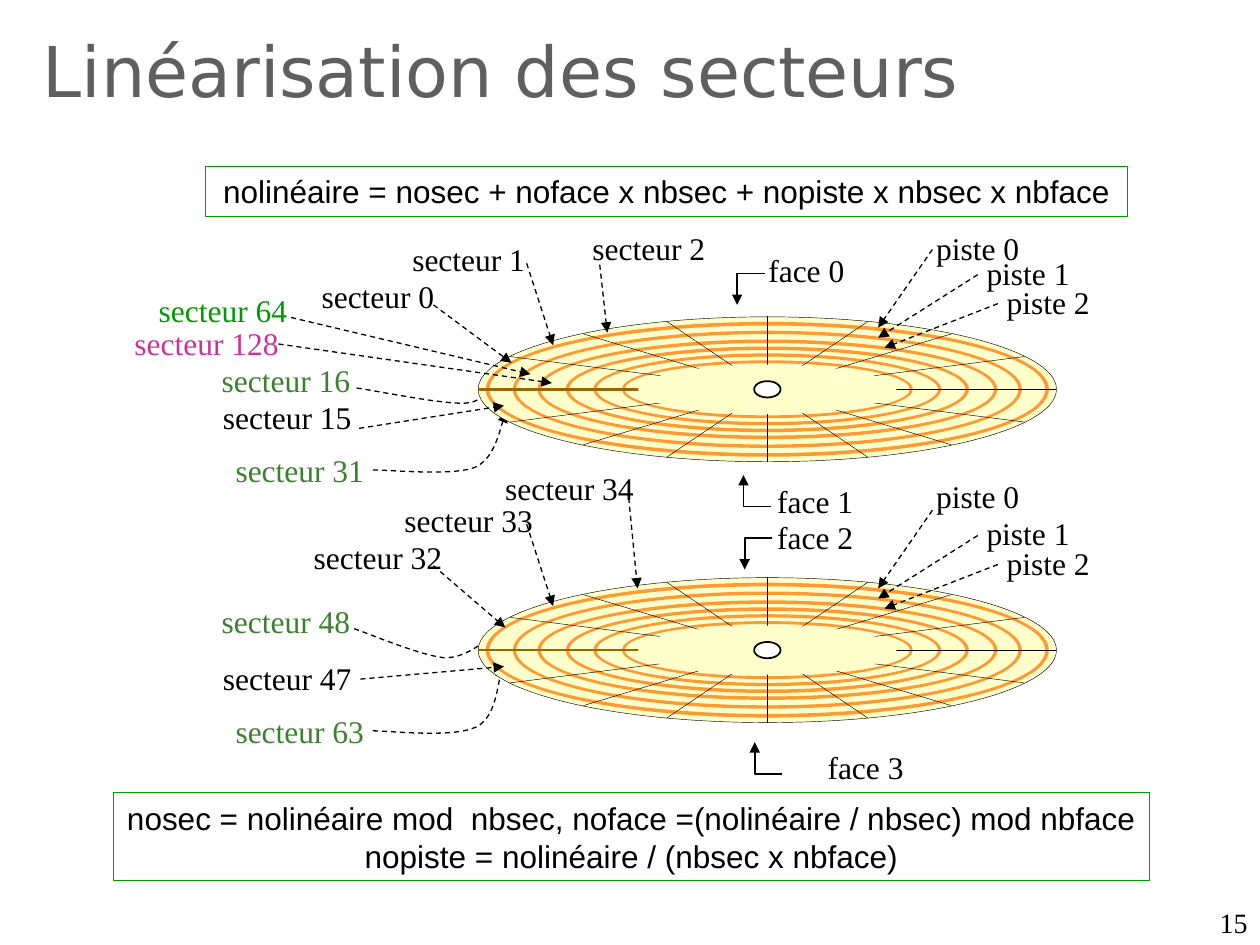
"""Build the slide on the linear numbering of disk sectors."""
from dataclasses import dataclass
from typing import Any

from lxml import etree
from pptx import Presentation
from pptx import util as u
from pptx.dml.color import RGBColor
from pptx.enum import dml, shapes, text
from pptx.oxml import ns

BLACK, LEAF, GREEN, PINK = "000000", "3B812F", "009900", "CC3399"
CREAM, ORANGE, BROWN, WHITE = "FFFFCC", "FF9933", "996600", "FFFFFF"
CENTRE_X, DISK_STEP = 6.09, 2.07


def length(inches):
    return u.Cm(inches * 2.54)


def colour(value):
    return RGBColor.from_string(value)


def bezier(start, *curves, steps=12):
    points = [start]
    for curve in curves:
        ends = (points[-1], *curve)
        for step in range(1, steps + 1):
            t = step / steps
            weights = ((1 - t) ** 3, 3 * t * (1 - t) ** 2, 3 * t * t * (1 - t), t ** 3)
            points.append(tuple(sum(w * p[axis] for w, p in zip(weights, ends))
                                for axis in (0, 1)))
    return points


@dataclass
class Sheet:
    slide: Any
    label_font: str = "Times New Roman"
    formula_font: str = "Arial"
    size: int = 18

    def title(self, words):
        title = self.slide.shapes.title
        title.left, title.top, title.width, title.height = map(length, (0.24, 0.18, 7.79, 0.75))
        title.text_frame.auto_size = text.MSO_AUTO_SIZE.NONE
        self.set_text(title, words, "DejaVu Sans", 40, "5F5F5F", text.PP_ALIGN.LEFT)

    def set_text(self, holder, words, font, size, ink, align=text.PP_ALIGN.CENTER):
        holder.text_frame.word_wrap = True
        paragraph = holder.text_frame.paragraphs[0]
        paragraph.text, paragraph.alignment = words, align
        paragraph.font.name, paragraph.font.size = font, u.Pt(size)
        paragraph.font.color.rgb = colour(ink)

    def label(self, words, left, top, ink=BLACK, width=1.26):
        box = self.slide.shapes.add_textbox(*map(length, (left, top, width, 0.4)))
        self.set_text(box, words, self.label_font, self.size, ink)

    def page_number(self, words):
        box = self.slide.shapes.add_textbox(*map(length, (7.67, 7.14, 2.33, 0.36)))
        box.text_frame.vertical_anchor = text.MSO_ANCHOR.BOTTOM
        self.set_text(box, words, self.label_font, 16, BLACK, text.PP_ALIGN.RIGHT)

    def shape(self, kind, place, fill=None, ink=None, weight=0.25):
        shape = self.slide.shapes.add_shape(kind, *map(length, place))
        shape.shadow.inherit = False
        if fill:
            shape.fill.solid()
            shape.fill.fore_color.rgb = colour(fill)
        else:
            shape.fill.background()
        if ink:
            self.stroke(shape.line, ink, weight)
        else:
            shape.line.fill.background()
        return shape

    def oval(self, centre_y, width, height, *style):
        place = CENTRE_X - width / 2, centre_y - height / 2, width, height
        self.shape(shapes.MSO_SHAPE.OVAL, place, *style)

    def ring(self, centre_y, width, height, thickness):
        place = CENTRE_X - width / 2, centre_y - height / 2, width, height
        ring = self.shape(shapes.MSO_SHAPE.DONUT, place, ORANGE)
        ring.adjustments[0] = thickness

    def formula(self, words, place):
        box = self.shape(shapes.MSO_SHAPE.RECTANGLE, place, None, GREEN)
        box.text_frame.vertical_anchor = text.MSO_ANCHOR.TOP
        self.set_text(box, words, self.formula_font, self.size, BLACK)

    def stroke(self, line, ink, weight):
        line.color.rgb = colour(ink)
        line.width = u.Pt(weight)

    def path_line(self, points, ink=BLACK, weight=0.25):
        corners = [tuple(map(length, point)) for point in points]
        if len(corners) == 2:
            drawn = self.slide.shapes.add_connector(
                shapes.MSO_CONNECTOR.STRAIGHT, *corners[0], *corners[1])
            self.stroke(drawn.line, ink, weight)
            etree.SubElement(drawn.element.spPr, ns.qn("a:effectLst"))
        else:
            builder = self.slide.shapes.build_freeform(*corners[0])
            builder.add_line_segments(corners[1:], close=False)
            drawn = builder.convert_to_shape()
            drawn.fill.background()
            drawn.shadow.inherit = False
            self.stroke(drawn.line, ink, weight)
        return drawn

    def arrow(self, points, weight=0.75, dashed=True):
        drawn = self.path_line(points, BLACK, weight)
        if dashed:
            drawn.line.dash_style = dml.MSO_LINE.DASH
        outline = drawn.element.spPr.find(ns.qn("a:ln"))
        etree.SubElement(outline, ns.qn("a:tailEnd"), type="triangle")

    def disk(self, y):
        self.oval(y, 4.59, 1.15, CREAM, BLACK)
        for ring in ((4.47, 1.07, 0.027), (4.04, 0.93, 0.029), (3.65, 0.79, 0.035),
                     (3.2, 0.68, 0.041), (2.76, 0.57, 0.045), (2.31, 0.46, 0.05)):
            self.ring(y, *ring)
        self.path_line([(3.79, y), (CENTRE_X, y)], BROWN, 1.5)
        for dx, dy in ((1.46, -0.44), (0, -0.58), (2.04, -0.26), (0.8, -0.54),
                       (-1.46, -0.44), (-2.04, -0.26), (-0.8, -0.54)):
            self.path_line([(CENTRE_X - dx, y - dy), (CENTRE_X + dx, y + dy)])
        self.path_line([(CENTRE_X, y), (8.38, y)])
        self.oval(y, 2.05, 0.39, CREAM)
        self.oval(y, 0.21, 0.13, WHITE, BLACK, 1)

    def tracks(self, offset, tops):
        leaders = (((7.4, 1.98), (6.97, 2.6)), ((7.76, 2.18), (6.97, 2.68)),
                   ((7.92, 2.41), (7.02, 2.76)))
        for number, (left, top, leader) in enumerate(zip((7.13, 7.53, 7.69), tops, leaders)):
            self.label(f"piste {number}", left, top)
            self.arrow([(x, y + offset) for x, y in leader])

    def face(self, number, left, top, corner, rise):
        x, y = corner
        self.label(f"face {number}", left, top)
        self.arrow([(x + 0.22, y), (x, y), (x, y + rise)], 1, dashed=False)


CURVES = (
    (bezier((2.96, 3.73), ((3.09, 3.73), (3.6, 3.78), (3.77, 3.71)),
            ((3.95, 3.63), (3.97, 3.36), (4.02, 3.27))),
     bezier((2.83, 3.08), ((2.98, 3.1), (3.51, 3.21), (3.69, 3.2)),
            ((3.87, 3.19), (3.87, 3.05), (3.92, 3.01)))),
    (bezier((2.96, 5.8), ((3.09, 5.8), (3.6, 5.86), (3.78, 5.77)),
            ((3.95, 5.69), (3.95, 5.39), (3.99, 5.29))),
     bezier((2.81, 4.99), ((2.93, 5.03), (3.33, 5.2), (3.52, 5.22)),
            ((3.7, 5.23), (3.84, 5.08), (3.93, 5.05)))),
)
TRACK_TOPS = (1.77, 1.97, 2.2), (3.74, 4.03, 4.27)
SECTORS = (
    (15, 1.65, 3.11, BLACK), (16, 1.64, 2.82, LEAF), (31, 1.75, 3.53, LEAF),
    (2, 4.52, 1.77, BLACK), (1, 3.09, 1.86, BLACK), (0, 2.37, 2.15, BLACK),
    (47, 1.65, 5.18, BLACK), (48, 1.64, 4.73, LEAF), (63, 1.75, 5.6, LEAF),
    (34, 3.89, 3.67, BLACK), (33, 3.09, 3.93, BLACK), (32, 2.37, 4.22, BLACK),
    (64, 1.14, 2.26, GREEN), (128, 0.85, 2.52, PINK, 1.58),
)
SECTOR_LEADERS = (
    ((2.85, 3.4), (4, 3.22)), ((3.44, 2.42), (4.06, 2.88)), ((4.18, 2.09), (4.39, 2.74)),
    ((4.76, 2.1), (4.82, 2.64)), ((2.86, 5.39), (4, 5.29)), ((3.44, 4.49), (4.01, 4.98)),
    ((4.18, 4.16), (4.39, 4.81)), ((4.99, 3.95), (5.06, 4.67)),
    ((2.31, 2.52), (4.21, 2.97)), ((2.21, 2.73), (4.38, 3.04)),
)
FACES = ((5.77, 1.94, (5.85, 2.17), 0.25), (5.84, 3.78, (5.9, 4.02), -0.25),
         (5.84, 4.06, (5.91, 4.27), 0.25), (6.24, 5.89, (5.99, 6.14), -0.25))


def main():
    deck = Presentation()
    deck.slide_width, deck.slide_height = u.Cm(25.4), u.Cm(19.05)
    sheet = Sheet(deck.slides.add_slide(deck.slide_layouts[5]))
    sheet.title("Linéarisation des secteurs")
    for index, (curves, tops) in enumerate(zip(CURVES, TRACK_TOPS)):
        for curve in curves:
            sheet.arrow(curve)
        sheet.disk(3.09 + index * DISK_STEP)
        sheet.tracks(index * DISK_STEP, tops)
    for number, *place in SECTORS:
        sheet.label(f"secteur {number}", *place)
    for leader in SECTOR_LEADERS:
        sheet.arrow(leader)
    for number, face in enumerate(FACES):
        sheet.face(number, *face)
    sheet.formula("nolinéaire = nosec + noface x nbsec + nopiste x nbsec x nbface",
                  (1.63, 1.32, 7.32, 0.4))
    sheet.formula("nosec = nolinéaire mod  nbsec, noface =(nolinéaire / nbsec) mod nbface "
                  "nopiste = nolinéaire / (nbsec x nbface)", (0.9, 6.29, 8.22, 0.7))
    sheet.page_number("15")
    deck.save("out.pptx")


if __name__ == "__main__":
    main()
